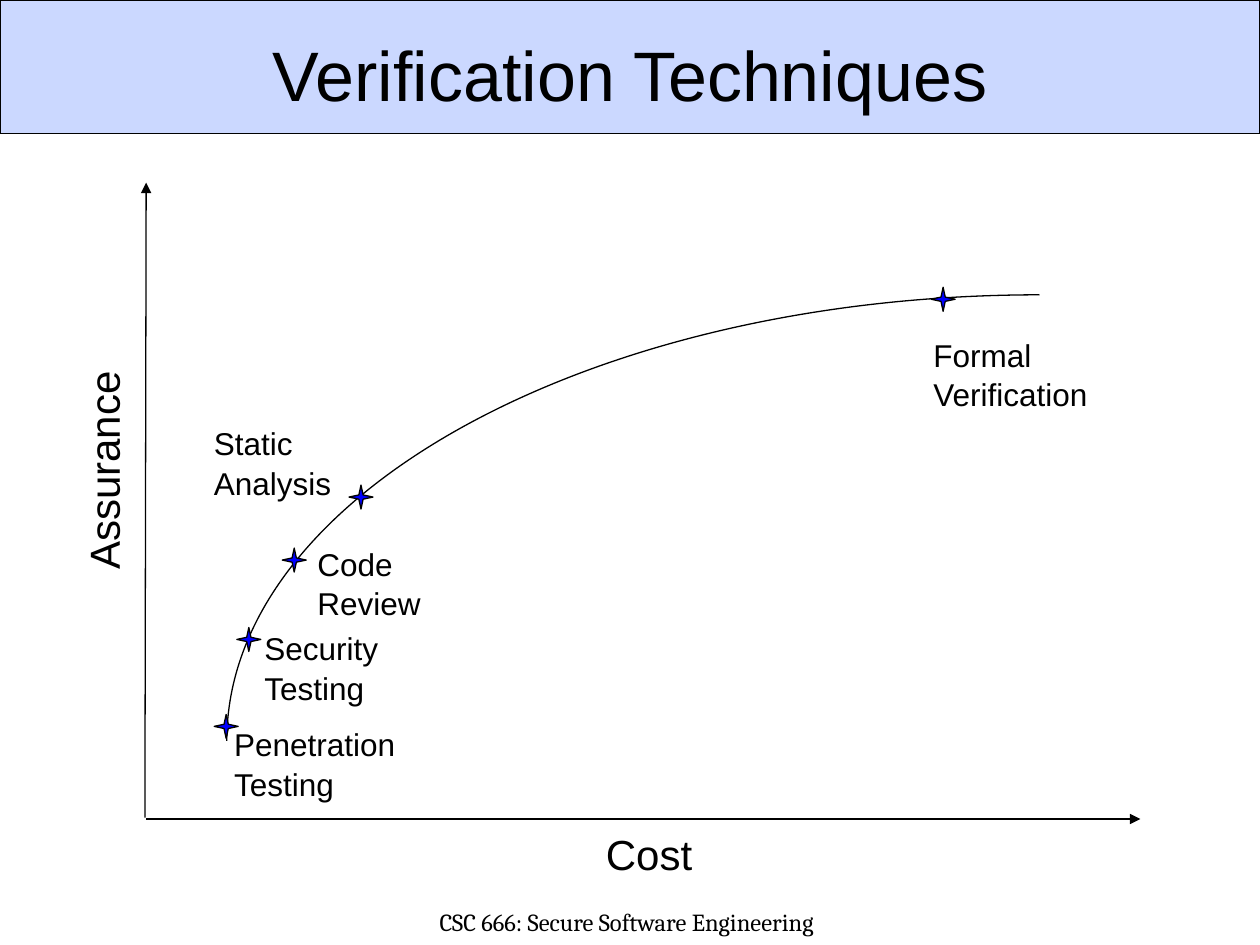
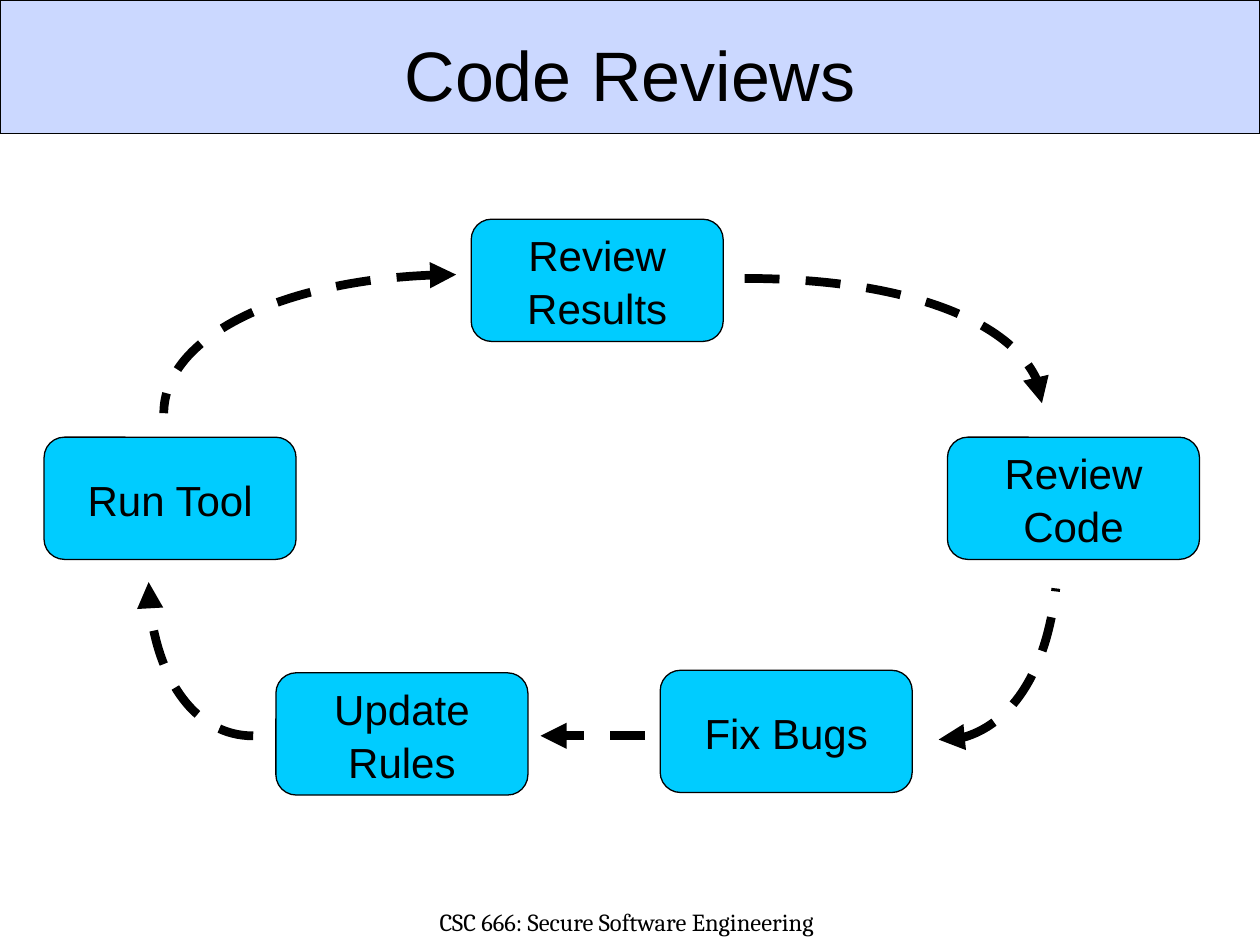
from lxml.etree import SubElement
from pptx import Presentation
from pptx.dml.color import RGBColor
from pptx.enum.dml import MSO_LINE
from pptx.enum.shapes import MSO_CONNECTOR, MSO_SHAPE
from pptx.enum.text import MSO_ANCHOR, MSO_AUTO_SIZE, PP_ALIGN
from pptx.oxml.ns import qn
from pptx.util import Inches, Pt

COLORS = {
    "ink": "000000",
    "band": "3366FF",
    "star": "0000FF",
    "step": "00CCFF",
}
FOOTER = "CSC 666: Secure Software Engineering"
STAR = 0.19
STEP_W, STEP_H = 2, 0.97


def rgb(name):
    return RGBColor.from_string(COLORS[name])


def box(values):
    return [Inches(v) for v in values]


# Text
def write(tf, lines, size, font="Arial", align=PP_ALIGN.LEFT, spacing=None):
    for i, line in enumerate(lines):
        p = tf.paragraphs[0] if i == 0 else tf.add_paragraph()
        p.alignment = align
        if spacing:
            p.line_spacing = spacing
        r = p.add_run()
        r.text = line
        r.font.size = Pt(size)
        r.font.name = font
        r.font.color.rgb = rgb("ink")


def add_centered(s, at, text, size, font="Arial", anchor=MSO_ANCHOR.TOP):
    tf = s.shapes.add_textbox(*box(at)).text_frame
    tf.word_wrap = True
    tf.vertical_anchor = anchor
    write(tf, [text], size, font, PP_ALIGN.CENTER)


def add_label(s, at, lines, size=18, rotation=0):
    sp = s.shapes.add_textbox(*box(at))
    sp.rotation = rotation
    tf = sp.text_frame
    tf.word_wrap = False
    tf.auto_size = MSO_AUTO_SIZE.SHAPE_TO_FIT_TEXT
    write(tf, lines, size, spacing=1.05)


# Shapes
def add_filled(s, kind, at, fill):
    sp = s.shapes.add_shape(kind, *box(at))
    sp.shadow.inherit = False
    sp.fill.solid()
    sp.fill.fore_color.rgb = rgb(fill)
    sp.line.color.rgb = rgb("ink")
    sp.line.width = Pt(0.75)
    return sp


def add_star(s, x, y):
    sp = add_filled(s, MSO_SHAPE.STAR_4_POINT, (x, y, STAR, STAR), "star")
    sp.adjustments[0] = 0.125


def add_step(s, x, y, lines):
    sp = add_filled(s, MSO_SHAPE.FLOWCHART_ALTERNATE_PROCESS,
                    (x, y, STEP_W, STEP_H), "step")
    tf = sp.text_frame
    tf.word_wrap = False
    tf.vertical_anchor = MSO_ANCHOR.MIDDLE
    write(tf, lines, 24, align=PP_ALIGN.CENTER, spacing=1.05)


# Lines and arcs
def style_line(sp, width, dashed, arrow):
    """arrow is None, "headEnd" (at the start) or "tailEnd" (at the end)."""
    sp.line.color.rgb = rgb("ink")
    sp.line.width = Pt(width)
    if dashed:
        sp.line.dash_style = MSO_LINE.DASH
    if arrow:
        ln = sp.line._get_or_add_ln()
        SubElement(ln, qn("a:" + arrow), type="triangle")


def add_arrow(s, start, end, width=0.75, dashed=False):
    sp = s.shapes.add_connector(MSO_CONNECTOR.STRAIGHT, *box(start + end))
    style_line(sp, width, dashed, "tailEnd")
    SubElement(sp._element.spPr, qn("a:effectLst"))


def add_arc(s, points, width=0.75, dashed=False, arrow=None):
    """One cubic curve through start, two control points and end."""
    pts = [box(p) for p in points]
    start, end = pts[0], pts[-1]
    fb = s.shapes.build_freeform(*start)
    fb.add_line_segments([end], close=False)
    sp = fb.convert_to_shape()
    sp.shadow.inherit = False
    sp.fill.background()
    style_line(sp, width, dashed, arrow)

    # Turn the straight segment into a curve
    segment = next(sp._element.iter(qn("a:lnTo")))
    parent = segment.getparent()
    parent.remove(segment)
    curve = SubElement(parent, qn("a:cubicBezTo"))
    left, top = min(start[0], end[0]), min(start[1], end[1])
    for x, y in pts[1:]:
        SubElement(curve, qn("a:pt"), x=str(x - left), y=str(y - top))


# Slides
def new_slide(prs, title):
    s = prs.slides.add_slide(prs.slide_layouts[6])
    band = add_filled(s, MSO_SHAPE.RECTANGLE, (0, 0, 10, 1.06), "band")
    color = next(band._element.spPr.iter(qn("a:srgbClr")))
    SubElement(color, qn("a:alpha"), val="25000")
    add_centered(s, (1.61, 7.15, 6.73, 0.35), FOOTER, 14, "Cambria")
    add_centered(s, (0.5, 0.17, 9, 0.82), title, 40, anchor=MSO_ANCHOR.MIDDLE)
    return s


def build_techniques(prs):
    s = new_slide(prs, "Verification Techniques")

    # Axes
    add_arrow(s, (1.15, 6.49), (1.16, 1.45))
    add_arrow(s, (1.16, 6.5), (9.05, 6.5))
    add_label(s, (-0.09, 3.48, 1.78, 0.5), ["Assurance"], 24, 270)
    add_label(s, (4.71, 6.51, 0.89, 0.5), ["Cost"], 24)

    # Curve with the techniques along it: star, then label
    add_arc(s, [(8.25, 2.34), (4.69, 2.34), (1.8, 3.93), (1.8, 5.88)])
    techniques = [
        ((1.7, 5.67), (1.76, 5.69, 1.48), ["Penetration", "Testing"]),
        ((1.88, 4.98), (2, 4.93, 1.1), ["Security", "Testing"]),
        ((2.24, 4.35), (2.42, 4.26, 1.02), ["Code", "Review"]),
        ((2.77, 3.85), (1.6, 3.3, 1.13), ["Static", "Analysis"]),
        ((7.39, 2.28), (7.31, 2.6, 1.44), ["Formal", "Verification"]),
    ]
    for star, label, lines in techniques:
        add_label(s, label + (0.7,), lines)
        add_star(s, *star)


def build_reviews(prs):
    s = new_slide(prs, "Code Reviews")

    # Steps of the cycle
    steps = [
        (7.52, 3.47, ["Review", "Code"]),
        (0.35, 3.47, ["Run Tool"]),
        (3.74, 1.74, ["Review", "Results"]),
        (5.24, 5.32, ["Fix Bugs"]),
        (2.19, 5.34, ["Update", "Rules"]),
    ]
    for step in steps:
        add_step(s, *step)

    # Arrows between the steps
    arcs = [
        ([(5.91, 2.21), (7.21, 2.21), (8.27, 2.65), (8.27, 3.2)], "tailEnd"),
        ([(3.62, 2.18), (2.34, 2.18), (1.3, 2.67), (1.3, 3.28)], "headEnd"),
        ([(7.45, 5.87), (7.88, 5.92), (8.3, 5.38), (8.38, 4.67)], "headEnd"),
        ([(2.01, 5.84), (1.55, 5.84), (1.18, 5.29), (1.18, 4.62)], "tailEnd"),
    ]
    for points, arrow in arcs:
        add_arc(s, points, 5, True, arrow)
    add_arrow(s, (5.12, 5.84), (4.29, 5.84), 5, True)


def main():
    prs = Presentation()
    prs.slide_width, prs.slide_height = Inches(10), Inches(7.5)
    build_techniques(prs)
    build_reviews(prs)
    prs.save("out.pptx")


main()
